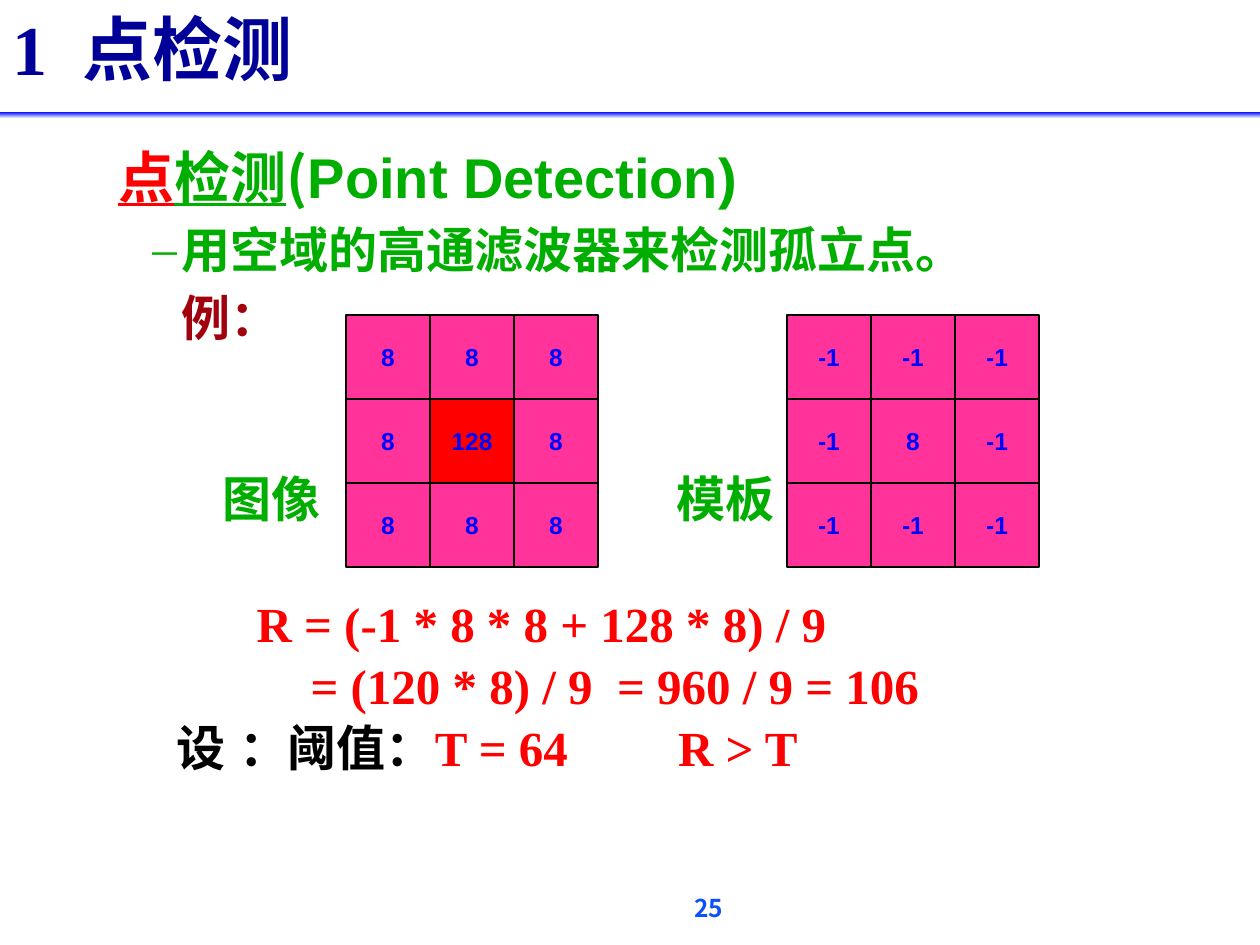
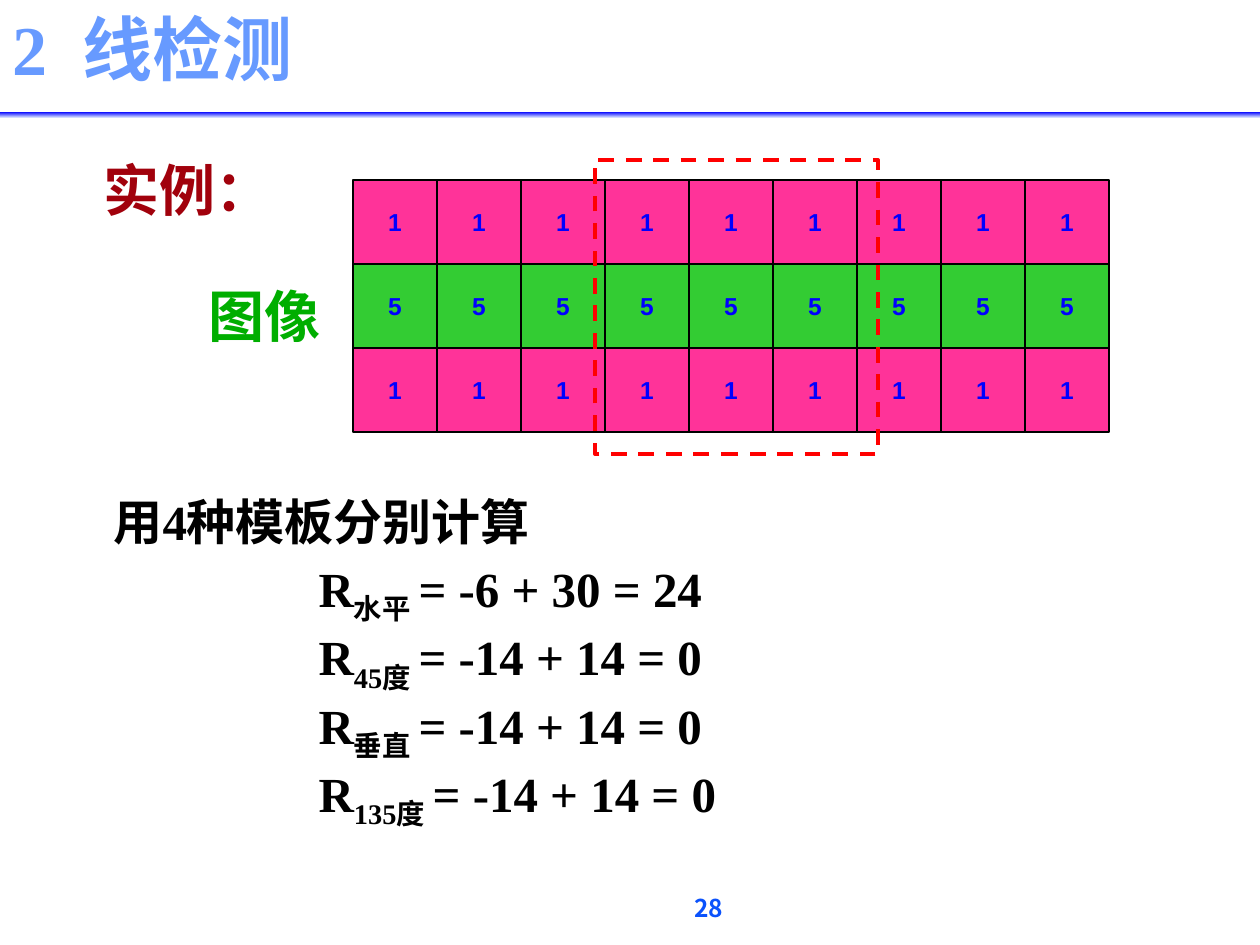
from lxml import etree
from pptx import Presentation
from pptx import util as u
from pptx.dml.color import RGBColor
from pptx.enum import dml, shapes, text
from pptx.oxml import ns

SCALE = u.Inches(1) / 126
SERIF, SANS, CJK = "Times New Roman", "Arial", "Noto Sans CJK SC"
NAVY, SKY, PAGE_BLUE, BLUE = "000099", "679AFF", "0B52FC", "0000FF"
RED, GREEN, MAROON, BLACK = "FF0000", "00AE00", "A1010C", "000000"
PINK, LINE_GREEN = "FF3399", "33CC33"
CELL = 84


def px(length):
    """Turn whole pixels into EMU."""
    return u.Emu(round(length * SCALE))


def rgb(value):
    """Return the colour for a hex string."""
    return RGBColor.from_string(value)


def child(parent, tag, **attributes):
    """Append a drawing element with its attributes."""
    element = etree.SubElement(parent, ns.qn(tag))
    for name, value in attributes.items():
        element.set(name, str(value))
    return element


def place(shape, box):
    """Move and size a shape to a pixel box."""
    shape.left, shape.top, shape.width, shape.height = map(px, box)


def set_frame(shape, wrap=True, anchor=text.MSO_ANCHOR.TOP):
    """Set the margins, wrapping and anchor of a shape and return its text frame."""
    frame = shape.text_frame
    frame.auto_size = text.MSO_AUTO_SIZE.NONE
    frame.word_wrap = wrap
    frame.vertical_anchor = anchor
    frame.margin_left = frame.margin_right = u.Inches(0.1)
    frame.margin_top = frame.margin_bottom = u.Inches(0.05)
    return frame


def add_run(paragraph, words, size=28, font=SERIF, color=BLACK, underline=None,
            baseline=None, spacing=None):
    """Add one bold run with its format."""
    run = paragraph.add_run()
    run.text = words
    run.font.name, run.font.size, run.font.bold = font, u.Pt(size), True
    run.font.underline = underline
    run.font.color.rgb = rgb(color)
    properties = run.font._element
    child(properties, "a:ea", typeface=SANS)
    if baseline:
        properties.set("baseline", str(baseline))
    if spacing:
        properties.set("spc", str(spacing * 100))


def add_paragraph(frame, runs, align=text.PP_ALIGN.LEFT, level=0, margin=0, indent=0,
                  bullet=None, line=None, before=0, **style):
    """Add a paragraph of (words, format) runs that share a style."""
    first = not frame.paragraphs[0].runs
    paragraph = frame.paragraphs[0] if first else frame.add_paragraph()
    properties = paragraph._p.get_or_add_pPr()
    properties.set("marL", str(px(margin)))
    properties.set("indent", str(px(indent)))
    if bullet:
        child(properties, "a:buFont", typeface=SERIF)
        child(properties, "a:buChar", char=bullet)
    else:
        child(properties, "a:buNone")
    paragraph.alignment, paragraph.level = align, level
    paragraph.line_spacing = line
    paragraph.space_before = u.Pt(0 if first else before)
    for words, extra in runs:
        add_run(paragraph, words, **{**style, **extra})


def add_text(slide, box, words, wrap=False, anchor=text.MSO_ANCHOR.TOP, line=None, **style):
    """Add a text box with one centred line."""
    frame = set_frame(slide.shapes.add_textbox(*map(px, box)), wrap, anchor)
    add_paragraph(frame, [(words, {})], align=text.PP_ALIGN.CENTER, line=line, **style)


def add_rectangle(slide, box, fill=None, line=None, width=0.75):
    """Add a rectangle without shadow."""
    shape = slide.shapes.add_shape(shapes.MSO_SHAPE.RECTANGLE, *map(px, box))
    shape.shadow.inherit = False
    if fill:
        shape.fill.solid()
        shape.fill.fore_color.rgb = rgb(fill)
    else:
        shape.fill.background()
    if line:
        shape.line.color.rgb = rgb(line)
        shape.line.width = u.Pt(width)
    else:
        shape.line.fill.background()
    return shape


def add_band(slide, box):
    """Draw the gradient rule under the title."""
    band = add_rectangle(slide, box)
    band.fill.gradient()
    band.fill.gradient_angle = 270
    stops = band.fill._fill._gradFill.find(ns.qn("a:gsLst"))
    for stop in list(stops):
        stops.remove(stop)
    for percent, color in ((0, BLUE), (89, "CCD6FF"), (100, "E6EBFF")):
        child(child(stops, "a:gs", pos=percent * 1000), "a:srgbClr", val=color)


def add_base_slide(presentation, section, heading, color, page):
    """Add a slide with its title, rule and page number."""
    slide = presentation.slides.add_slide(presentation.slide_layouts[1])
    add_text(slide, (390, 892, 638, 38), page, wrap=True, line=0.8,
             size=14, font=CJK, color=PAGE_BLUE)
    add_band(slide, (0, 112, 1260, 6))
    title = slide.shapes.title
    place(title, (0, 9, 1260, 88))
    frame = set_frame(title, anchor=text.MSO_ANCHOR.BOTTOM)
    add_paragraph(frame, [(section, {}), (" ", {"spacing": 10}), (heading, {"font": CJK})],
                  line=0.9, size=40, color=color)
    return slide


def fill_body(slide, box):
    """Place the body placeholder and return its text frame."""
    body = slide.placeholders[1]
    place(body, box)
    return set_frame(body)


def add_grid(slide, left, top, rows, fill_of):
    """Draw a grid of square number cells."""
    for row, values in enumerate(rows):
        for column, value in enumerate(values):
            box = (left + column * CELL, top + row * CELL, CELL, CELL)
            cell = add_rectangle(slide, box, fill_of(row, value), BLACK)
            frame = set_frame(cell, False, text.MSO_ANCHOR.MIDDLE)
            add_paragraph(frame, [(str(value), {})], align=text.PP_ALIGN.CENTER,
                          size=14, font=SANS, color=BLUE)


def add_labelled_matrix(slide, left, top, label, label_offset, rows):
    """Draw a 3 by 3 matrix with a label at its left."""
    add_grid(slide, left, top, rows, lambda row, value: RED if value == 128 else PINK)
    add_text(slide, (left - label_offset, top + 147, 123, 72), label,
             anchor=text.MSO_ANCHOR.MIDDLE, font=SANS, color=GREEN)


def add_introduction(slide, box):
    """Write the topic, its method and the example heading."""
    frame = set_frame(slide.shapes.add_textbox(*map(px, box)))
    add_paragraph(frame, [("点", {"color": RED, "underline": True}),
                          ("检测", {"underline": True}), ("(", {}),
                          ("Point Detection)", {"font": SANS})],
                  size=32, font=CJK, color=GREEN)
    item = dict(align=text.PP_ALIGN.JUSTIFY, level=1, margin=63, before=5.6, font=CJK)
    add_paragraph(frame, [("用空域的高通滤波器来检测孤立点。", {})],
                  indent=-29, bullet="–", color=GREEN, **item)
    add_paragraph(frame, [("例：", {})], color=MAROON, **item)


def build_point_slide(presentation):
    """Build the point detection slide."""
    slide = add_base_slide(presentation, "1", "点检测", NAVY, "25")
    frame = fill_body(slide, (116, 599, 1081, 199))
    lines = ((128, [("R = (-1 * 8 * 8 + 128 * 8) / 9", {})]),
             (182, [("= (120 * 8) / 9", {}), (" ", {"spacing": 7}), ("= 960 / 9 = 106", {})]),
             (48, [("设 ：阈值：", {"color": BLACK}), ("T = 64", {}),
                   (" ", {"spacing": 56}), ("R > T", {})]))
    for margin, runs in lines:
        add_paragraph(frame, runs, level=1, margin=margin, line=0.8, before=8.4, color=RED)
    add_labelled_matrix(slide, 346, 315, "图像", 136, [[8, 8, 8], [8, 128, 8], [8, 8, 8]])
    add_labelled_matrix(slide, 787, 315, "模板", 123, [[-1, -1, -1], [-1, 8, -1], [-1, -1, -1]])
    add_introduction(slide, (106, 136, 1102, 222))


def build_line_slide(presentation):
    """Build the line detection slide."""
    slide = add_base_slide(presentation, "2", "线检测", SKY, "28")
    frame = fill_body(slide, (101, 485, 1050, 325))
    add_paragraph(frame, [("用4种模板分别计算", {})])
    responses = (("水平", "-6 + 30 = 24"), ("45度", "-14 + 14 = 0"),
                 ("垂直", "-14 + 14 = 0"), ("135度", "-14 + 14 = 0"))
    for direction, result in responses:
        add_paragraph(frame, [("R", {}), (direction + " ", {"baseline": -25000}),
                              ("= " + result, {})],
                      level=1, margin=205, line=0.8, before=8.4)
    add_grid(slide, 353, 180, [[1] * 9, [5] * 9, [1] * 9],
             lambda row, value: LINE_GREEN if row == 1 else PINK)
    window = add_rectangle(slide, (595, 160, 283, 294), line=RED, width=2.25)
    window.line.dash_style = dml.MSO_LINE.DASH
    add_text(slide, (91, 149, 193, 79), "实例：", size=32, font=CJK, color=MAROON)
    add_text(slide, (196, 275, 137, 79), "图像", size=32, font=CJK, color=GREEN)


def main():
    """Build and save the presentation."""
    presentation = Presentation()
    presentation.slide_width, presentation.slide_height = px(1260), px(945)
    build_point_slide(presentation)
    build_line_slide(presentation)
    presentation.save("out.pptx")


if __name__ == "__main__":
    main()
